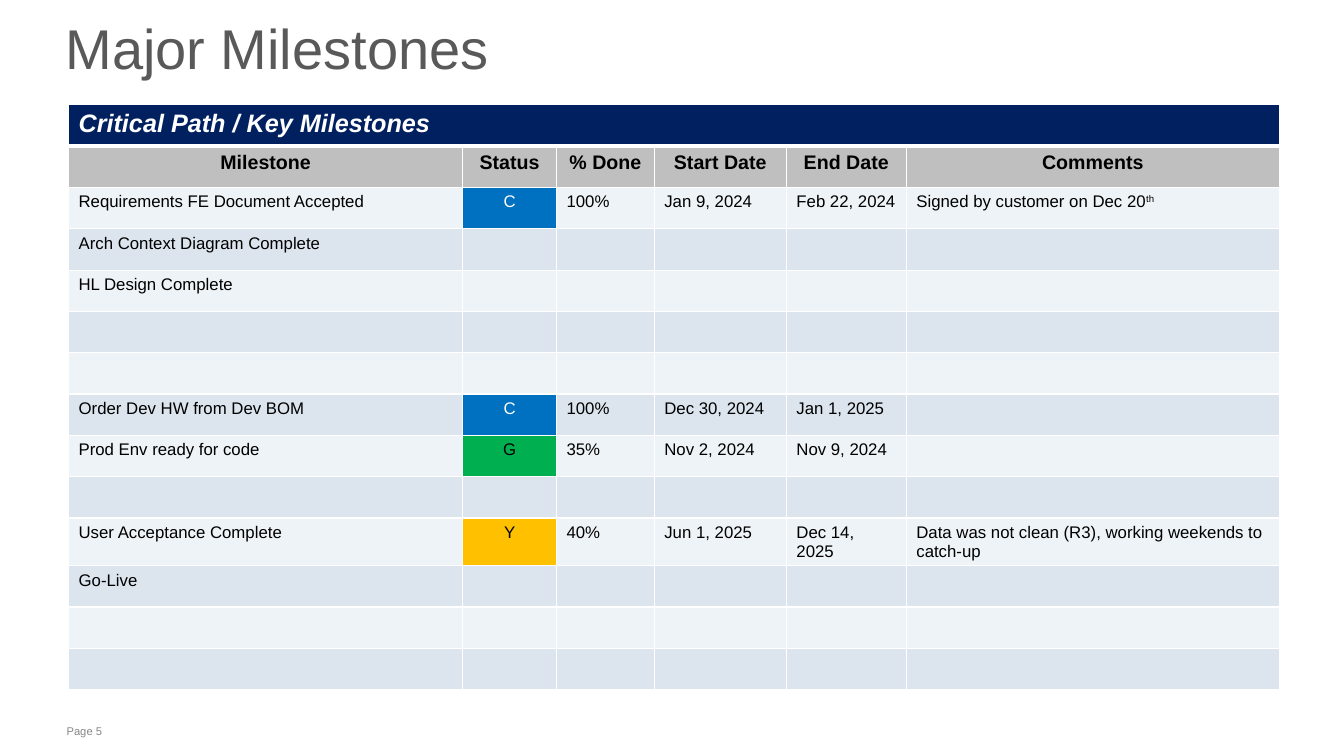
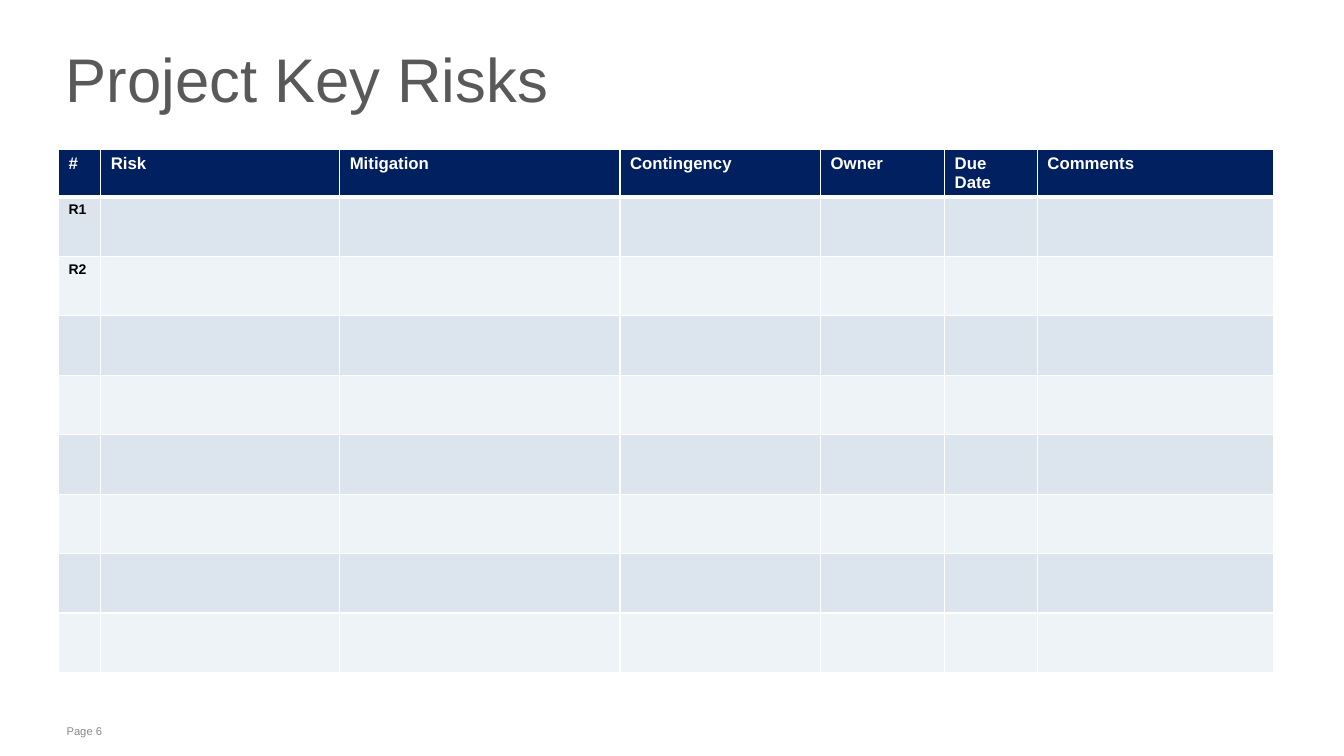
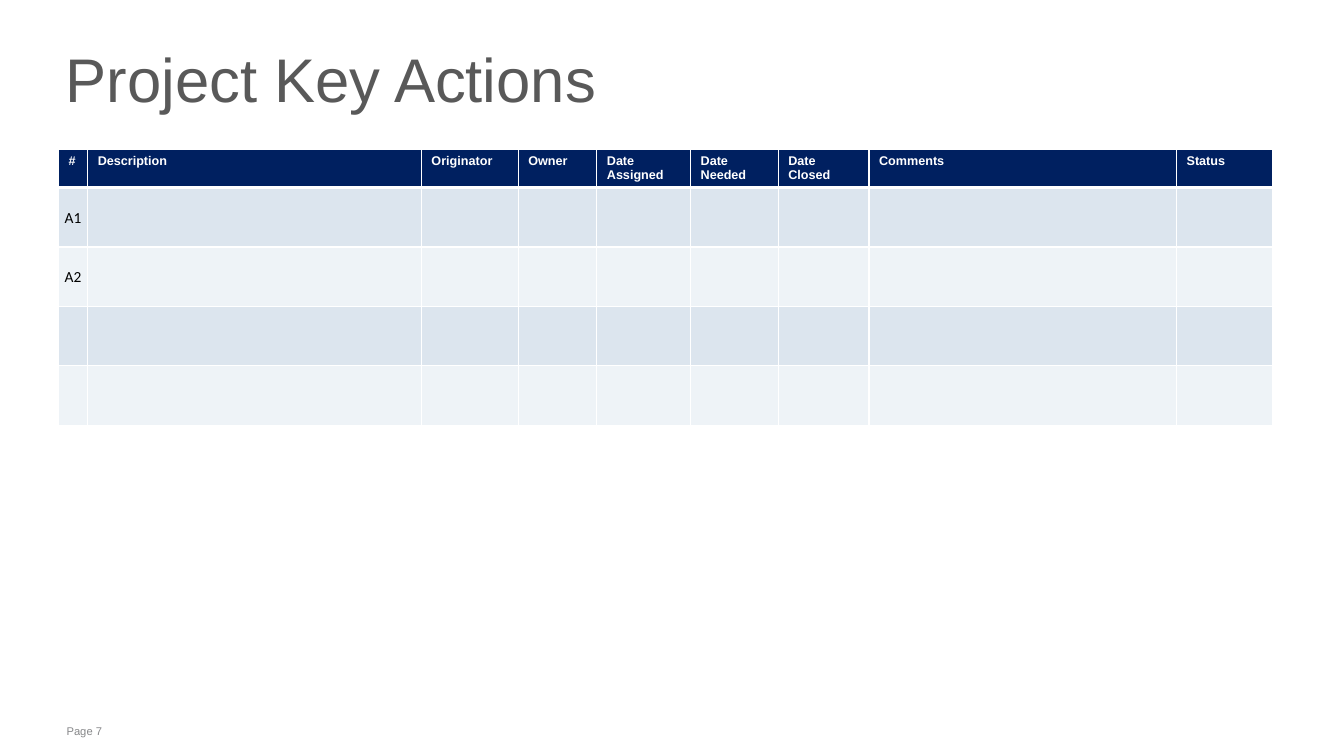
"""Build three project status slides: milestones, risks and actions."""
from dataclasses import dataclass, field

from lxml.etree import SubElement
from pptx import Presentation
from pptx.dml.color import RGBColor
from pptx.enum.text import MSO_ANCHOR, MSO_AUTO_SIZE, PP_ALIGN
from pptx.oxml.ns import qn
from pptx.util import Inches, Pt

COLORS = {
    "white": "FFFFFF", "black": "000000", "navy": "002060", "gray": "BFBFBF",
    "title": "595959", "footer": "87888A", "light": "EEF3F7", "dark": "DCE5EE",
    "complete": "0070C0", "on_track": "00B050", "at_risk": "FFC000",
}
STATUS = {"C": ("complete", "white"), "G": ("on_track", "black"), "Y": ("at_risk", "black")}


@dataclass(frozen=True)
class TextStyle:
    size: float
    color: str = "black"
    bold: bool = False
    italic: bool = False
    font: str = "Arial"
    align: PP_ALIGN = PP_ALIGN.LEFT


@dataclass(frozen=True)
class Row:
    texts: list[str]
    style: TextStyle
    fill: str | None = None
    height: float = 0.59
    rule: float = 1


@dataclass(frozen=True)
class TableSlide:
    title: str
    page: int
    cols: list[float]
    rows: list[Row]
    title_box: tuple[float, float, float, float] = (0.57, 0.26, 10.93, 1.19)
    title_size: float = 44
    origin: tuple[float, float] = (0.58, 1.48)
    banner: bool = False
    status_col: int | None = None
    cell_format: dict = field(default_factory=dict)


def write(p, text: str, style: TextStyle) -> None:
    """Write text into a paragraph; a caret starts a superscript."""
    p.alignment = style.align
    for i, part in enumerate(text.split("^")):
        r = p.add_run()
        r.text = part
        formats = {"size": Pt(style.size), "name": style.font,
                   "bold": style.bold, "italic": style.italic}
        for name, value in formats.items():
            setattr(r.font, name, value)
        r.font.color.rgb = RGBColor.from_string(COLORS[style.color])
        if i:
            r._r.get_or_add_rPr().set("baseline", "30000")


def format_frame(tf, anchor: MSO_ANCHOR, inset: float) -> None:
    """Set the wrapping, anchor and insets of a text frame."""
    formats = {"word_wrap": True, "auto_size": MSO_AUTO_SIZE.NONE, "vertical_anchor": anchor,
               "margin_left": Inches(0.08), "margin_right": Inches(0.08),
               "margin_top": Inches(inset), "margin_bottom": Inches(inset)}
    for name, value in formats.items():
        setattr(tf, name, value)


def format_cell(cell, fill: str, top: float, bottom: float) -> None:
    """Give a cell white borders and a solid fill."""
    tcPr = cell._tc.get_or_add_tcPr()
    for side, width in {"L": 1, "R": 1, "T": top, "B": bottom}.items():
        ln = SubElement(tcPr, qn(f"a:ln{side}"), w=str(Pt(width)))
        solid = SubElement(ln, qn("a:solidFill"))
        SubElement(solid, qn("a:srgbClr"), val=COLORS["white"])
    cell.fill.solid()
    cell.fill.fore_color.rgb = RGBColor.from_string(COLORS[fill])


def add_title(s, spec: TableSlide) -> None:
    """Place and format the title placeholder."""
    title = s.shapes.title
    for name, value in zip(("left", "top", "width", "height"), spec.title_box):
        setattr(title, name, Inches(value))
    format_frame(title.text_frame, MSO_ANCHOR.MIDDLE, 0)
    p = title.text_frame.paragraphs[0]
    p.line_spacing = 0.75
    write(p, spec.title, TextStyle(spec.title_size, "title"))


def add_footer(s, page: int) -> None:
    """Add the page number at the bottom left."""
    sp = s.shapes.add_textbox(Inches(0.58), Inches(7.14), Inches(10.79), Inches(0.24))
    format_frame(sp.text_frame, MSO_ANCHOR.TOP, 0.05)
    write(sp.text_frame.paragraphs[0], f"Page {page}", TextStyle(8, "footer"))


def add_grid(s, spec: TableSlide) -> None:
    """Add the table with banded rows and status cells."""
    left, top = spec.origin
    table = s.shapes.add_table(
        len(spec.rows), len(spec.cols), Inches(left), Inches(top),
        Inches(sum(spec.cols)), Inches(sum(row.height for row in spec.rows))).table
    table.first_row = table.horz_banding = False
    for col, width in zip(table.columns, spec.cols):
        col.width = Inches(width)
    rule_above = 1
    for i, row in enumerate(spec.rows):
        table.rows[i].height = Inches(row.height)
        texts = row.texts + [""] * (len(spec.cols) - len(row.texts))
        for j, text in enumerate(texts):
            cell = table.cell(i, j)
            fill, style = row.fill or ("dark" if i % 2 else "light"), row.style
            if j == spec.status_col and text in STATUS:
                fill, color = STATUS[text]
                style = TextStyle(style.size, color, align=PP_ALIGN.CENTER)
            format_cell(cell, fill, rule_above, row.rule)
            if text:
                write(cell.text_frame.paragraphs[0], text, style)
                if not row.fill:
                    for name, value in spec.cell_format.items():
                        setattr(cell, name, value)
        rule_above = row.rule
    if spec.banner:
        table.cell(0, 0).merge(table.cell(0, len(spec.cols) - 1))


def header(texts: list[str], size: float) -> Row:
    """Return a navy header row."""
    return Row(texts, TextStyle(size, "white", bold=True), "navy", 0.35, 3)


MILESTONES = [
    ["Requirements FE Document Accepted", "C", "100%", "Jan 9, 2024", "Feb 22, 2024",
     "Signed by customer on Dec 20^th"],
    ["Arch Context Diagram Complete"],
    ["HL Design Complete"],
    [],
    [],
    ["Order Dev HW from Dev BOM", "C", "100%", "Dec 30, 2024", "Jan 1, 2025"],
    ["Prod Env ready for code", "G", "35%", "Nov 2, 2024", "Nov 9, 2024"],
    [],
    ["User Acceptance Complete", "Y", "40%", "Jun 1, 2025", "Dec 14, 2025",
     "Data was not clean (R3), working weekends to catch-up"],
    ["Go-Live"],
    [],
    [],
]
RISKS = [["R1"], ["R2"]] + [[]] * 6
ACTIONS = [["A1"], ["A2"]] + [[]] * 2

SLIDES = [
    TableSlide(
        "Major Milestones", 5, [3.91, 0.93, 0.97, 1.31, 1.19, 3.7],
        [Row(["Critical Path / Key Milestones"],
             TextStyle(18, "white", bold=True, italic=True), "navy", 0.41, 3),
         Row(["Milestone", "Status", "% Done", "Start Date", "End Date", "Comments"],
             TextStyle(14, bold=True, align=PP_ALIGN.CENTER), "gray", 0.41),
         *(Row(texts, TextStyle(12), height=0.41) for texts in MILESTONES)],
        title_box=(0.57, 0.16, 11.76, 0.75), title_size=40, origin=(0.68, 1.04),
        banner=True, status_col=1),
    TableSlide(
        "Project Key Risks", 6, [0.42, 2.37, 2.78, 1.99, 1.23, 0.92, 2.34],
        [header(["#", "Risk", "Mitigation", "Contingency", "Owner", "Due Date", "Comments"], 12),
         *(Row(texts, TextStyle(10, bold=True)) for texts in RISKS)]),
    TableSlide(
        "Project Key Actions", 7, [0.29, 3.31, 0.96, 0.78, 0.93, 0.87, 0.9, 3.05, 0.95],
        [header(["#", "Description", "Originator", "Owner", "Date Assigned", "Date Needed",
                 "Date Closed", "Comments", "Status"], 9),
         *(Row(texts, TextStyle(11, font="Calibri", align=PP_ALIGN.CENTER))
           for texts in ACTIONS)],
        cell_format={"vertical_anchor": MSO_ANCHOR.MIDDLE, "margin_left": Inches(0.01),
                     "margin_right": Inches(0.01), "margin_top": Inches(0.01),
                     "margin_bottom": 0}),
]


def main() -> None:
    """Build and save the presentation."""
    prs = Presentation()
    prs.slide_width, prs.slide_height = Inches(13.33), Inches(7.5)
    for spec in SLIDES:
        s = prs.slides.add_slide(prs.slide_layouts[5])
        add_footer(s, spec.page)
        add_title(s, spec)
        add_grid(s, spec)
    prs.save("out.pptx")


if __name__ == "__main__":
    main()
